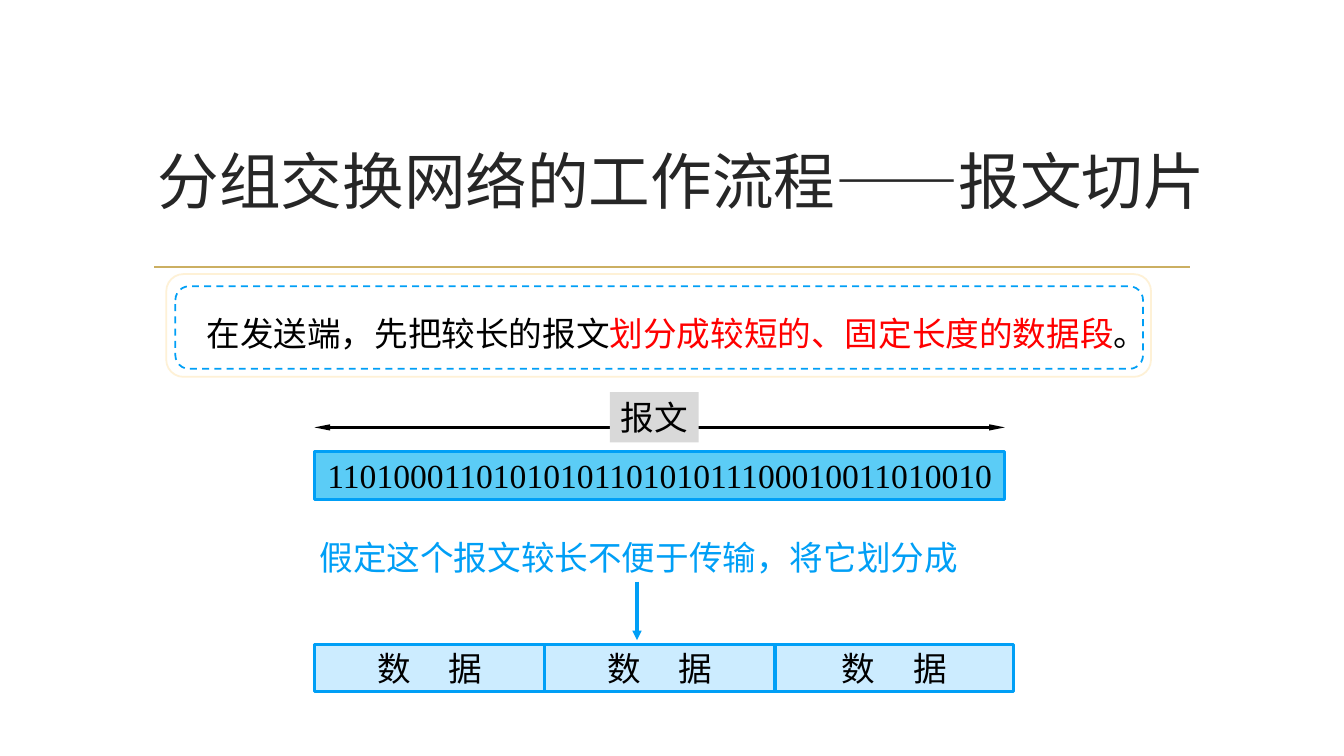
"""Build the slide on slicing a message in a packet-switched network."""
from dataclasses import dataclass

from lxml import etree
from pptx import Presentation
from pptx import util as u
from pptx.dml.color import RGBColor
from pptx.enum import dml, shapes, text
from pptx.oxml.ns import qn


@dataclass(frozen=True)
class Theme:
    cjk: str = "Noto Sans CJK SC"
    latin: str = "Times New Roman"
    title_size: float = 44
    body_size: float = 24
    thin: float = 1.25
    thick: float = 2.25
    title: str = "262626"
    ink: str = "000000"
    accent: str = "FF0000"
    blue: str = "009FF6"
    gold: str = "CBAF62"
    cream: str = "FEF1D6"
    white: str = "FFFFFF"
    grey: str = "D9D9D9"
    message: str = "5BCCF6"
    segment: str = "CCECFF"


THEME = Theme()

TITLE = "分组交换网络的工作流程——报文切片"
SENTENCE = [
    ("在发送端，先把较长的报文", THEME.ink),
    ("划分成较短的、固定长度的数据段", THEME.accent),
    ("。", THEME.ink),
]
LABEL = "报文"
BITS = "1101000110101010110101011100010011010010"
NOTE = "假定这个报文较长不便于传输，将它划分成"
SEGMENT_TEXT = ["数", " ", "据"]
SEGMENT_GAP = 21.6
SEGMENT_WIDTHS = [164.5, 164.5, 170.5]

TITLE_BOX = (102.2, 77, 769.7, 103)
RULE = (110.2, 190.8, 850.3, 190.8)
OUTER_FRAME = (118.8, 195.8, 703.4, 73.4)
INNER_FRAME = (125.3, 204.5, 691.2, 59)
SENTENCE_BOX = (140.4, 219.6, 681.1, 36)
LABEL_BOX = (435.6, 280.1, 63.4, 36)
NOTE_BOX = (200.2, 380.2, 511.9, 36)
LEFT, MESSAGE_WIDTH, BAR_HEIGHT = 224.6, 493.2, 34
SPAN_Y, MESSAGE_TOP, SEGMENT_TOP = 305.3, 322.6, 460.1
DOWN_ARROW = (455, 415.4, 455, 457.2)


def points(values):
    return [u.Pt(value) for value in values]


def write(shape, content, size=THEME.body_size, color=THEME.ink,
          font=THEME.cjk, align=text.PP_ALIGN.CENTER, wrap=False, gap=0):
    """Fill a shape with one paragraph of plain strings or (string, colour) pairs."""
    frame = shape.text_frame
    frame.word_wrap = wrap
    frame.vertical_anchor = text.MSO_ANCHOR.MIDDLE
    para = frame.paragraphs[0]
    para.alignment = align
    for part in [content] if isinstance(content, str) else content:
        words, tint = (part, color) if isinstance(part, str) else part
        span = para.add_run()
        span.text = words
        span.font.size = u.Pt(size)
        span.font.name = font
        span.font.color.rgb = RGBColor.from_string(tint)
        props = span.font._element
        etree.SubElement(props, qn("a:ea")).set("typeface", font)
        if gap and words == " ":
            props.set("spc", str(round(gap * 100)))


def add_text(page, box, content, **style):
    write(page.shapes.add_textbox(*points(box)), content, **style)


def add_block(page, box, fill=None, line=None, width=THEME.thick,
              rounded=False, dashed=False):
    kind = shapes.MSO_SHAPE.ROUNDED_RECTANGLE if rounded else shapes.MSO_SHAPE.RECTANGLE
    block = page.shapes.add_shape(kind, *points(box))
    block.shadow.inherit = False
    if fill:
        block.fill.solid()
        block.fill.fore_color.rgb = RGBColor.from_string(fill)
    else:
        block.fill.background()
    if line:
        block.line.color.rgb = RGBColor.from_string(line)
        block.line.width = u.Pt(width)
    else:
        block.line.fill.background()
    if dashed:
        block.line.dash_style = dml.MSO_LINE.DASH
    return block


def add_line(page, ends, color, width=THEME.thick, heads=(), head_size=("med", "med")):
    line = page.shapes.add_connector(shapes.MSO_CONNECTOR.STRAIGHT, *points(ends))
    line.line.color.rgb = RGBColor.from_string(color)
    line.line.width = u.Pt(width)
    props = line._element.spPr
    for head in heads:
        arrow = etree.SubElement(props.find(qn("a:ln")), qn(f"a:{head}"))
        arrow.set("type", "triangle")
        arrow.set("w", head_size[0])
        arrow.set("len", head_size[1])
    etree.SubElement(props, qn("a:effectLst"))


def main():
    deck = Presentation()
    deck.slide_width, deck.slide_height = points((960, 540))
    page = deck.slides.add_slide(deck.slide_layouts[6])

    add_line(page, RULE, THEME.gold, width=THEME.thin)
    add_text(page, TITLE_BOX, TITLE, size=THEME.title_size, color=THEME.title, wrap=True)

    add_block(page, OUTER_FRAME, THEME.white, THEME.cream, THEME.thin, rounded=True)
    add_text(page, SENTENCE_BOX, SENTENCE, align=text.PP_ALIGN.LEFT)
    add_block(page, INNER_FRAME, None, THEME.blue, THEME.thin, rounded=True, dashed=True)

    add_line(page, (LEFT, SPAN_Y, LEFT + MESSAGE_WIDTH, SPAN_Y), THEME.ink,
             heads=("headEnd", "tailEnd"), head_size=("sm", "lg"))
    write(add_block(page, LABEL_BOX, THEME.grey), LABEL)
    message = add_block(page, (LEFT, MESSAGE_TOP, MESSAGE_WIDTH, BAR_HEIGHT),
                        THEME.message, THEME.blue)
    write(message, BITS, font=THEME.latin)

    add_text(page, NOTE_BOX, NOTE, color=THEME.blue)
    add_line(page, DOWN_ARROW, THEME.blue, heads=("tailEnd",))

    for index, width in enumerate(SEGMENT_WIDTHS):
        left = LEFT + sum(SEGMENT_WIDTHS[:index])
        segment = add_block(page, (left, SEGMENT_TOP, width, BAR_HEIGHT),
                            THEME.segment, THEME.blue)
        write(segment, SEGMENT_TEXT, gap=SEGMENT_GAP)

    deck.save("out.pptx")


if __name__ == "__main__":
    main()
